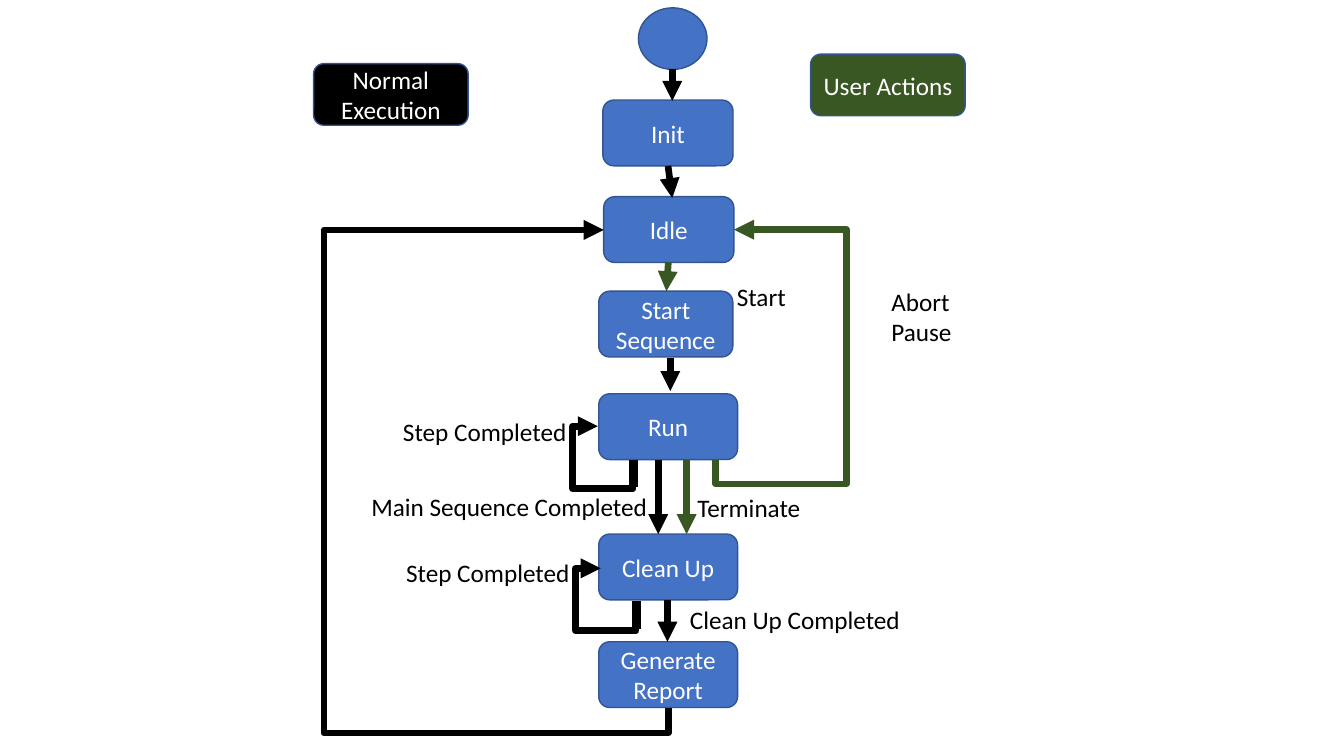
from pptx import Presentation
from pptx.dml.color import RGBColor
from pptx.enum.shapes import MSO_CONNECTOR, MSO_SHAPE
from pptx.enum.text import MSO_ANCHOR, MSO_AUTO_SIZE, PP_ALIGN
from pptx.oxml.ns import qn
from pptx.util import Pt
from lxml import etree

OVAL, ROUND = MSO_SHAPE.OVAL, MSO_SHAPE.ROUNDED_RECTANGLE
LINE, ELBOW = MSO_CONNECTOR.STRAIGHT, MSO_CONNECTOR.ELBOW
MIDDLE, TOP = MSO_ANCHOR.MIDDLE, MSO_ANCHOR.TOP
CENTER, LEFT = PP_ALIGN.CENTER, PP_ALIGN.LEFT
GROW = MSO_AUTO_SIZE.SHAPE_TO_FIT_TEXT

COLORS = {"blue": "4472C4", "edge": "325491", "black": "000000",
          "green": "385723", "white": "FFFFFF"}
RGB = {name: RGBColor.from_string(code) for name, code in COLORS.items()}
FONT = {"name": "Calibri", "size": Pt(18)}
BOX = {"word_wrap": True, "vertical_anchor": MIDDLE}
LABEL = {"vertical_anchor": TOP, "auto_size": GROW}

deck = Presentation()
deck.slide_width, deck.slide_height = Pt(960), Pt(540)
slide = deck.slides.add_slide(deck.slide_layouts[6])
shapes = slide.shapes


def write(shape, text, frame, align, color):
    body = shape.text_frame
    body.text = text
    for key, value in frame.items():
        setattr(body, key, value)
    for para in body.paragraphs:
        para.alignment = align
        for key, value in FONT.items():
            setattr(para.runs[0].font, key, value)
        para.runs[0].font.color.rgb = RGB[color]


def link(kind, ends, color, width=4.75, arrow=True):
    line = shapes.add_connector(kind, *[Pt(end) for end in ends])
    line.line.color.rgb = RGB[color]
    line.line.width = Pt(width)
    props = line.element.spPr
    if arrow:
        etree.SubElement(props.find(qn("a:ln")), qn("a:tailEnd"), type="triangle")
    etree.SubElement(props, qn("a:effectLst"))
    return props


states = [
    (OVAL, "", 456, 5.6, 49, 44, "blue"),
    (ROUND, "Init", 430.6, 71.5, 93, 47, "blue"),
    (ROUND, "Idle", 431.2, 140.5, 93, 47, "blue"),
    (ROUND, "Start Sequence", 427.7, 208, 95.8, 47, "blue"),
    (ROUND, "Run", 427.7, 281.3, 99.2, 47, "blue"),
    (ROUND, "Clean Up", 427.7, 381.5, 99.2, 47, "blue"),
    (ROUND, "Generate Report", 427.7, 458.4, 99.2, 47, "blue"),
    (ROUND, "Normal Execution", 224, 45.5, 110.4, 44, "black"),
    (ROUND, "User Actions", 579, 38.7, 110.4, 44, "green"),
]
for kind, text, left, top, width, height, color in states:
    state = shapes.add_shape(kind, Pt(left), Pt(top), Pt(width), Pt(height))
    state.shadow.inherit = False
    state.fill.solid()
    state.fill.fore_color.rgb = RGB[color]
    state.line.color.rgb = RGB["edge"]
    state.line.width = Pt(1)
    if text:
        write(state, text, BOX, CENTER, "white")

arrows = [
    ((480.2, 49, 480.2, 72), "black"),
    ((477.2, 118.6, 480.2, 141.5), "black"),
    ((477.4, 187.4, 476, 208), "green"),
    ((478.8, 255.6, 478.8, 279.3), "black"),
    ((470.2, 328.4, 470.2, 381.5), "black"),
    ((490.5, 328.4, 490.5, 381.5), "green"),
    ((476.8, 428.5, 476.8, 458.4), "black"),
]
for ends, color in arrows:
    link(LINE, ends, color)

stubs = [(452.6, 347.8, 452.6, 328.4), (454.7, 449.3, 454.7, 429.1)]
for ends in stubs:
    link(LINE, ends, "black", 6, False)

bends = [
    (283.7, 311.8, 341.3, 46.1, 90, ["flipH"], (-5300, 533600), "black"),
    (435.7, 239.7, 164.2, 13, 90, ["flipH", "flipV"], (-10600, 716100), "green"),
    (420.5, 311, 38.2, 25.2, 270, ["flipV"], (-16500, 171800), "black"),
    (422.6, 412.5, 38.2, 25.2, 270, ["flipV"], (-16500, 171800), "black"),
]
for left, top, width, height, turn, flips, bend, color in bends:
    props = link(ELBOW, (left, top, left + width, top + height), color)
    frame = props.find(qn("a:xfrm"))
    frame.set("rot", str(turn * 60000))
    for flip in flips:
        frame.set(flip, "1")
    geom = props.find(qn("a:prstGeom"))
    geom.set("prst", "bentConnector4")
    guides = geom.find(qn("a:avLst"))
    for order, value in enumerate(bend, 1):
        etree.SubElement(guides, qn("a:gd"), name=f"adj{order}", fmla=f"val {value}")

labels = [
    ("Start", 519.2, 197.3, 49.7, 29, False),
    ("Abort\nPause", 629.6, 200.9, 57.6, 51, False),
    ("Step Completed", 280.8, 293.8, 132.5, 29, False),
    ("Main Sequence Completed", 258.2, 347.3, 213.8, 29, False),
    ("Terminate", 491, 348, 95, 29, True),
    ("Step Completed", 283, 394.6, 132.5, 29, False),
    ("Clean Up Completed", 485.7, 428.4, 166.3, 29, False),
]
for text, left, top, width, height, wrap in labels:
    label = shapes.add_textbox(Pt(left), Pt(top), Pt(width), Pt(height))
    write(label, text, {**LABEL, "word_wrap": wrap}, LEFT, "black")

deck.save("out.pptx")
